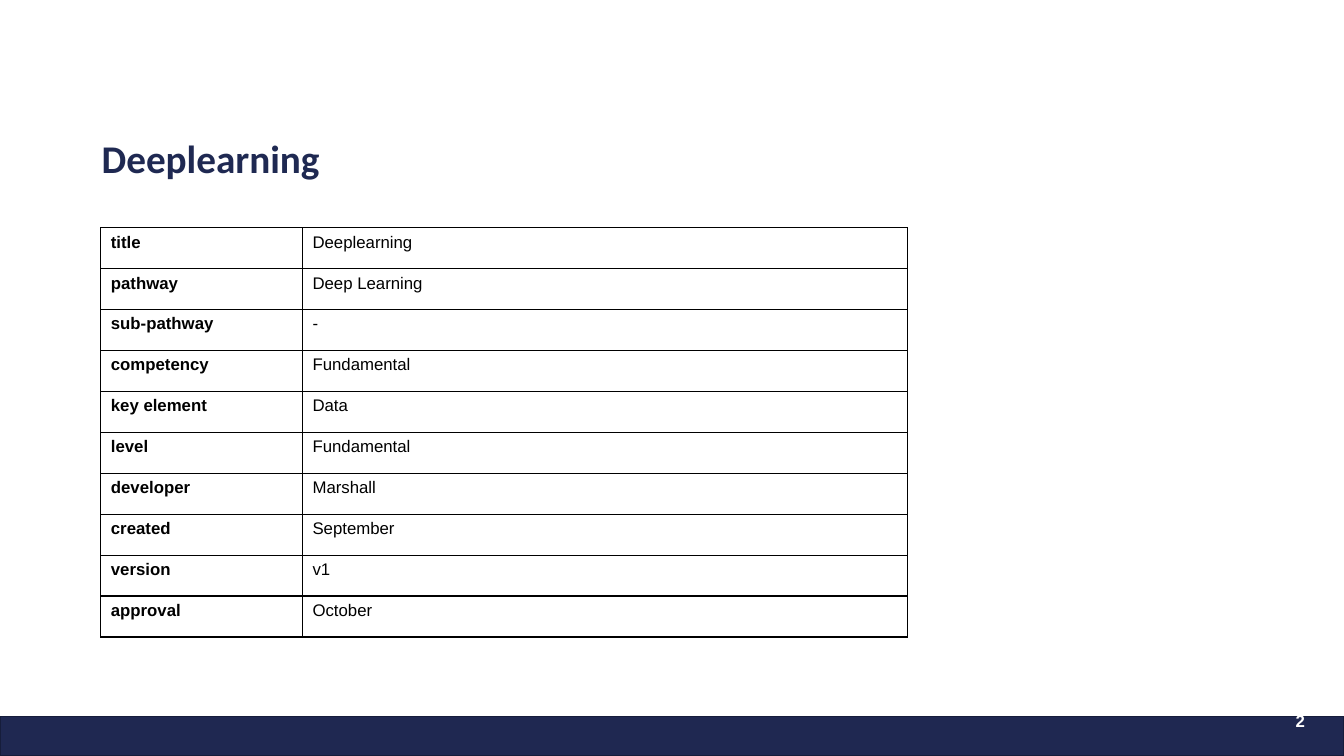
import dataclasses

import lxml.etree
import pptx
import pptx.dml.color
import pptx.enum.shapes
import pptx.enum.text
import pptx.oxml.ns
import pptx.util

Inches = pptx.util.Inches
Pt = pptx.util.Pt
Anchor = pptx.enum.text.MSO_ANCHOR


@dataclasses.dataclass(frozen=True)
class Theme:
    navy: str = "1F2952"
    footer: str = "1F2851"
    footer_edge: str = "161D3B"
    black: str = "000000"
    white: str = "FFFFFF"
    heading_font: str = "Calibri"
    body_font: str = "Arial"
    heading_size: int = 28
    body_size: int = 12


def color(value):
    return pptx.dml.color.RGBColor.from_string(value)


def write_text(frame, text, *, font, size, fill, bold=False, line_spacing=None):
    paragraph = frame.paragraphs[0]
    paragraph.alignment = pptx.enum.text.PP_ALIGN.LEFT
    paragraph.line_spacing = line_spacing
    run = paragraph.add_run()
    run.text = text
    run.font.name = font
    run.font.size = Pt(size)
    run.font.bold = bold
    run.font.color.rgb = color(fill)


def add_cell_borders(cell, line_color, width):
    """Outline all four sides; borders must come before the cell's fill."""
    properties = cell._tc.get_or_add_tcPr()
    qualified = pptx.oxml.ns.qn
    for position, side in enumerate(("lnL", "lnR", "lnT", "lnB")):
        line = lxml.etree.Element(qualified(f"a:{side}"), w=str(Pt(width)))
        fill = lxml.etree.SubElement(line, qualified("a:solidFill"))
        lxml.etree.SubElement(fill, qualified("a:srgbClr"), val=line_color)
        properties.insert(position, line)


class SlideBuilder:
    def __init__(self, slide, theme):
        self.slide = slide
        self.theme = theme

    def bar(self, left, top, width, height):
        shape = self.slide.shapes.add_shape(
            pptx.enum.shapes.MSO_SHAPE.RECTANGLE,
            Inches(left), Inches(top), Inches(width), Inches(height))
        shape.shadow.inherit = False
        shape.fill.solid()
        shape.fill.fore_color.rgb = color(self.theme.footer)
        shape.line.color.rgb = color(self.theme.footer_edge)
        shape.line.width = Pt(1)

    def text(self, left, top, width, height, text, *, anchor=Anchor.TOP,
             left_inset=0.1, **text_format):
        box = self.slide.shapes.add_textbox(
            Inches(left), Inches(top), Inches(width), Inches(height))
        frame = box.text_frame
        frame.word_wrap = True
        frame.vertical_anchor = anchor
        frame.margin_left = Inches(left_inset)
        write_text(frame, text, bold=True, line_spacing=0.9, **text_format)

    def table(self, left, top, column_widths, height, rows):
        """Bordered table with equal row heights and a bold first column."""
        table = self.slide.shapes.add_table(
            len(rows), len(column_widths), Inches(left), Inches(top),
            Inches(sum(column_widths)), Inches(height)).table
        table.first_row = table.horz_banding = False
        for column, width in zip(table.columns, column_widths):
            column.width = Inches(width)
        for row_index, row in enumerate(rows):
            for column_index, text in enumerate(row):
                cell = table.cell(row_index, column_index)
                cell.fill.solid()
                cell.fill.fore_color.rgb = color(self.theme.white)
                add_cell_borders(cell, self.theme.black, 1)
                write_text(cell.text_frame, text, font=self.theme.body_font,
                           size=self.theme.body_size, fill=self.theme.black,
                           bold=column_index == 0)


MODULE_DETAILS = [
    ("title", "Deeplearning"),
    ("pathway", "Deep Learning"),
    ("sub-pathway", "-"),
    ("competency", "Fundamental"),
    ("key element", "Data"),
    ("level", "Fundamental"),
    ("developer", "Marshall"),
    ("created", "September"),
    ("version", "v1"),
    ("approval", "October"),
]


def main():
    presentation = pptx.Presentation()
    presentation.slide_width = Inches(13.33)
    presentation.slide_height = Inches(7.5)
    theme = Theme()
    slide = presentation.slides.add_slide(presentation.slide_layouts[6])
    builder = SlideBuilder(slide, theme)

    builder.bar(0, 7.11, 13.33, 0.39)
    builder.text(0.91, 1.1, 11.73, 0.75, "Deeplearning", anchor=Anchor.BOTTOM,
                 font=theme.heading_font, size=theme.heading_size, fill=theme.navy)
    builder.table(1, 2.26, (2, 6), 4.06, MODULE_DETAILS)
    builder.text(12.58, 7.02, 0.66, 0.57, "2", left_inset=0.27,
                 font=theme.body_font, size=theme.body_size, fill=theme.white)
    presentation.save("out.pptx")


if __name__ == "__main__":
    main()
